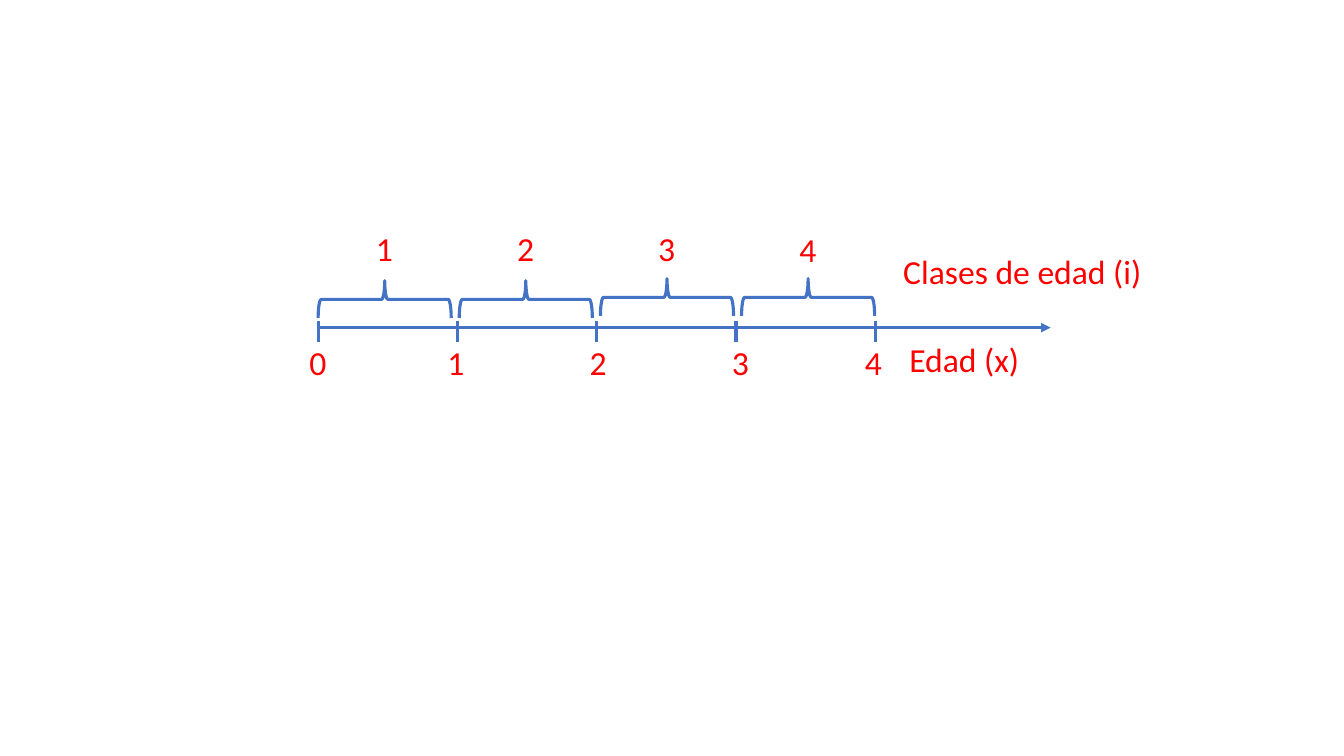
from lxml import etree
from pptx import Presentation, util as u
from pptx.dml.color import RGBColor
from pptx.enum import shapes, text
from pptx.oxml.ns import qn

COLORS = {"line": "4472C4", "text": "FF0000"}
FONT = {"name": "Calibri", "size": u.Pt(24)}
FRAME = {"word_wrap": False, "auto_size": text.MSO_AUTO_SIZE.SHAPE_TO_FIT_TEXT}
LINE_WIDTH = 2.25

AGES = [("0", 2.97), ("1", 4.34), ("2", 5.75), ("3", 7.16), ("4", 8.48)]
CLASSES = [("1", 2.21, 2.31), ("2", 2.21, 2.31), ("3", 2.21, 2.29), ("4", 2.22, 2.29)]
AXIS_NAMES = [("Clases de edad (i)", 8.86, 2.44, 2.59), ("Edad (x)", 8.92, 3.31, 1.3)]

AXIS_START, AXIS_END, AXIS_Y = 3.15, 10.42, 3.25
TICK_START, TICK_STEP, TICK_TOP, TICK_HEIGHT = 3.16, 1.38, 3.18, 0.21
CLASS_START, CLASS_STEP = 3.63, 1.4
BRACE_WIDTH, BRACE_HEIGHT = 0.37, 1.32
LABEL_WIDTH, LABEL_HEIGHT, AGE_TOP = 0.37, 0.5, 3.34


def inches(*values):
    return [u.Inches(v) for v in values]


def style_line(line):
    line.color.rgb = RGBColor.from_string(COLORS["line"])
    line.width = u.Pt(LINE_WIDTH)


def add_label(s, label, left, top, width=LABEL_WIDTH):
    tf = s.shapes.add_textbox(*inches(left, top, width, LABEL_HEIGHT)).text_frame
    for name, value in FRAME.items():
        setattr(tf, name, value)
    r = tf.paragraphs[0].add_run()
    r.text = label
    for name, value in FONT.items():
        setattr(r.font, name, value)
    r.font.color.rgb = RGBColor.from_string(COLORS["text"])


def add_line(s, x1, y1, x2, y2, arrow=False):
    sp = s.shapes.add_connector(shapes.MSO_CONNECTOR.STRAIGHT, *inches(x1, y1, x2, y2))
    style_line(sp.line)
    if arrow:
        etree.SubElement(sp.line._get_or_add_ln(), qn("a:tailEnd"), type="triangle")
    etree.SubElement(sp._element.spPr, qn("a:effectLst"))


def add_brace(s, left, top):
    sp = s.shapes.add_shape(shapes.MSO_SHAPE.LEFT_BRACE,
                            *inches(left, top, BRACE_WIDTH, BRACE_HEIGHT))
    sp.rotation = 90
    sp.shadow.inherit = False
    sp.fill.background()
    style_line(sp.line)


def main():
    prs = Presentation()
    prs.slide_width, prs.slide_height = inches(13.33, 7.5)
    s = prs.slides.add_slide(prs.slide_layouts[6])

    for i, (label, label_top, brace_top) in enumerate(CLASSES):
        left = CLASS_START + i * CLASS_STEP
        add_brace(s, left, brace_top)
        add_label(s, label, left, label_top)

    for i, (label, left) in enumerate(AGES):
        x = TICK_START + i * TICK_STEP
        add_line(s, x, TICK_TOP, x, TICK_TOP + TICK_HEIGHT)
        add_label(s, label, left, AGE_TOP)

    for axis_name in AXIS_NAMES:
        add_label(s, *axis_name)
    add_line(s, AXIS_START, AXIS_Y, AXIS_END, AXIS_Y, arrow=True)

    prs.save("out.pptx")


if __name__ == "__main__":
    main()
